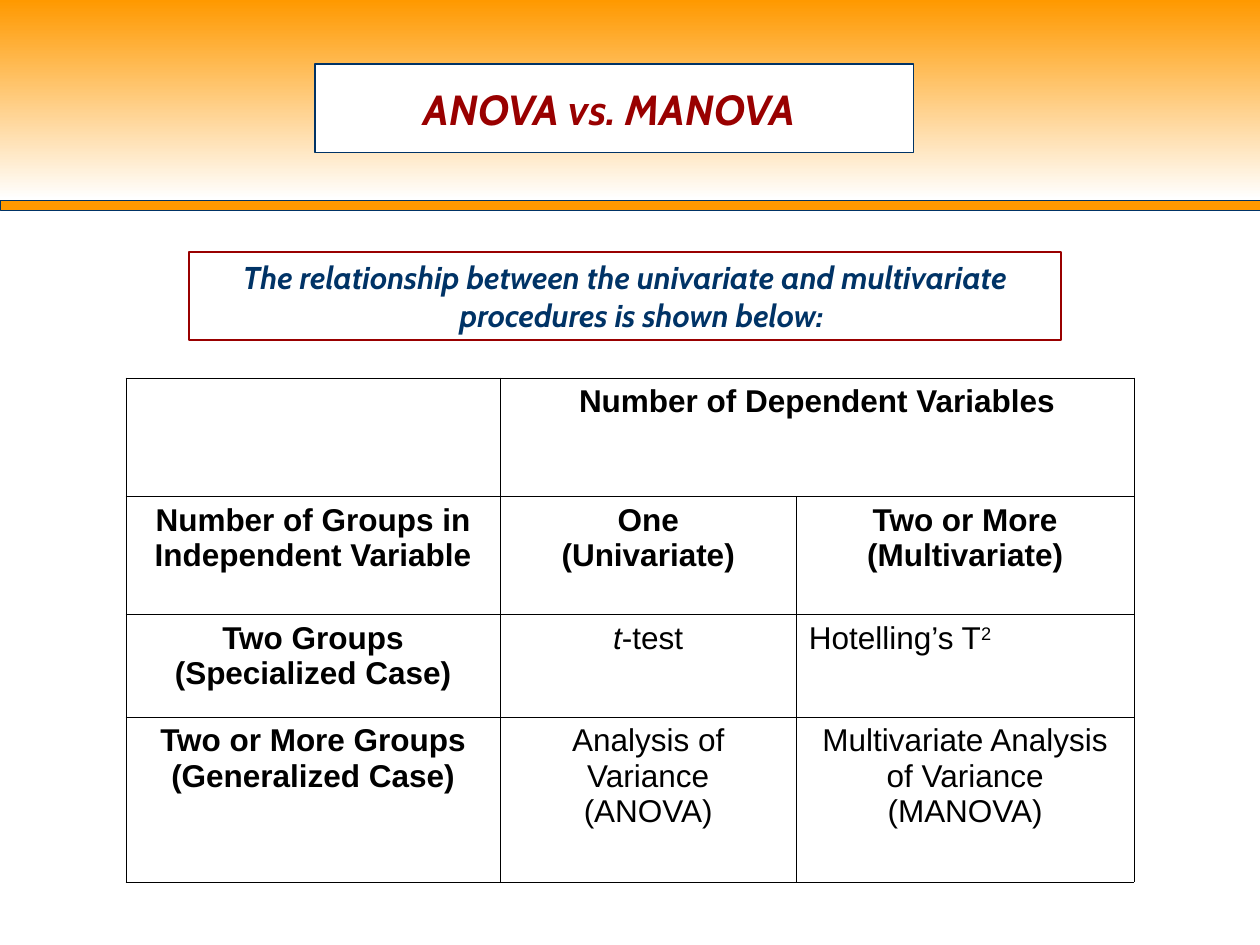
"""Build the ANOVA vs. MANOVA comparison slide."""
from lxml import etree
from pptx import Presentation
from pptx import util as u
from pptx.dml.color import RGBColor
from pptx.enum import shapes, text
from pptx.oxml.ns import qn

ORANGE = RGBColor(0xFF, 0x99, 0x00)
NAVY = RGBColor(0x00, 0x33, 0x66)
RED = RGBColor(0x99, 0x00, 0x00)
WHITE = RGBColor(0xFF, 0xFF, 0xFF)
BLACK = RGBColor(0x00, 0x00, 0x00)

TITLE = "ANOVA vs. MANOVA "
INTRO = "The relationship between the univariate and multivariate procedures is shown below: "
COLS = [2.97, 2.35, 2.68]
ROWS = [0.94, 0.94, 0.81, 1.31]
CELLS = [
    [[], [[("Number of Dependent Variables", "b")]], []],
    [
        [[("Number of Groups in", "b")], [("Independent Variable", "b")]],
        [[("One", "b")], [("(Univariate)", "b")]],
        [[("Two or More", "b")], [("(Multivariate)", "b")]],
    ],
    [
        [[("Two Groups", "b")], [("(Specialized Case)", "b")]],
        [[("t", "i"), ("-test", "")]],
        [[("Hotelling’s T", ""), ("2", "sup")]],
    ],
    [
        [[("Two or More Groups", "b")], [("(Generalized Case)", "b")]],
        [[("Analysis of Variance", "")], [("(ANOVA)", "")]],
        [[("Multivariate Analysis of Variance", "")], [("(MANOVA)", "")]],
    ],
]
LEFT_CELLS = {(2, 2)}


def place(sp, left, top, width, height):
    sp.left, sp.top, sp.width, sp.height = map(u.Inches, (left, top, width, height))


def add_run(p, words, size, font, color, bold=False, italic=False):
    r = p.add_run()
    r.text = words
    f = r.font
    f.size, f.name, f.bold, f.italic = u.Pt(size), font, bold, italic
    f.color.rgb = color
    return r


def add_band(s, top, height):
    sp = s.shapes.add_shape(shapes.MSO_SHAPE.RECTANGLE, 0, u.Inches(top), u.Inches(10), u.Inches(height))
    sp.shadow.inherit = False
    return sp


def fill_box(sp, words, size, color, line, line_width, inset, anchor):
    sp.line.color.rgb = line
    sp.line.width = u.Pt(line_width)
    tf = sp.text_frame
    tf.word_wrap = True
    tf.auto_size = text.MSO_AUTO_SIZE.NONE
    tf.vertical_anchor = anchor
    tf.margin_left = tf.margin_right = u.Inches(0.1)
    tf.margin_top = tf.margin_bottom = u.Inches(inset)
    p = tf.paragraphs[0]
    p.alignment = text.PP_ALIGN.CENTER
    add_run(p, words, size, "Cabin", color, True, True)
    return p


def add_borders(cell):
    tc_pr = cell._tc.get_or_add_tcPr()
    for side in ("lnL", "lnR", "lnT", "lnB"):
        ln = etree.SubElement(tc_pr, qn(f"a:{side}"), w=str(u.Pt(0.45)))
        fill = etree.SubElement(ln, qn("a:solidFill"))
        etree.SubElement(fill, qn("a:srgbClr"), val=str(BLACK))


def fill_cell(cell, paragraphs, align):
    add_borders(cell)
    cell.fill.background()
    tf = cell.text_frame
    for i, runs in enumerate(paragraphs):
        p = tf.add_paragraph() if i else tf.paragraphs[0]
        p.alignment = align
        for words, style in runs:
            r = add_run(p, words, 18, "Arial", BLACK, style == "b", style == "i")
            if style == "sup":
                r.font._element.set("baseline", "30000")


def add_grid(s):
    frame = s.shapes.add_table(len(ROWS), len(COLS), u.Inches(1), u.Inches(3), u.Inches(8), u.Inches(4))
    table = frame.table
    table.first_row = table.horz_banding = False
    for col, width in zip(table.columns, COLS):
        col.width = u.Inches(width)
    for row, height in zip(table.rows, ROWS):
        row.height = u.Inches(height)
    for i, row in enumerate(CELLS):
        for j, paragraphs in enumerate(row):
            align = text.PP_ALIGN.LEFT if (i, j) in LEFT_CELLS else text.PP_ALIGN.CENTER
            fill_cell(table.cell(i, j), paragraphs, align)
    table.cell(0, 1).merge(table.cell(0, 2))


def main():
    prs = Presentation()
    prs.slide_width, prs.slide_height = u.Inches(10), u.Inches(7.5)
    s = prs.slides.add_slide(prs.slide_layouts[5])

    rule = add_band(s, 1.59, 0.08)
    rule.fill.solid()
    rule.fill.fore_color.rgb = ORANGE
    rule.line.color.rgb = NAVY
    rule.line.width = u.Pt(0.25)

    header = add_band(s, 0, 1.58)
    header.fill.gradient()
    header.fill.gradient_angle = 270
    for stop, color in zip(header.fill.gradient_stops, (ORANGE, WHITE)):
        stop.color.rgb = color
    header.line.fill.background()

    title = s.shapes.title
    header._element.addnext(title._element)
    place(title, 2.5, 0.51, 4.75, 0.7)
    title.fill.solid()
    title.fill.fore_color.rgb = WHITE
    fill_box(title, TITLE, 24, RED, NAVY, 1, 0.15, text.MSO_ANCHOR.MIDDLE)

    intro = s.shapes.add_textbox(u.Inches(1.5), u.Inches(2), u.Inches(6.92), u.Inches(0.7))
    p = fill_box(intro, INTRO, 18, NAVY, RED, 0.75, 0.05, text.MSO_ANCHOR.TOP)
    p_pr = p._p.get_or_add_pPr()
    p_pr.set("marL", str(u.Inches(0.32)))
    p_pr.set("indent", str(u.Inches(-0.32)))

    add_grid(s)
    prs.save("out.pptx")


if __name__ == "__main__":
    main()
